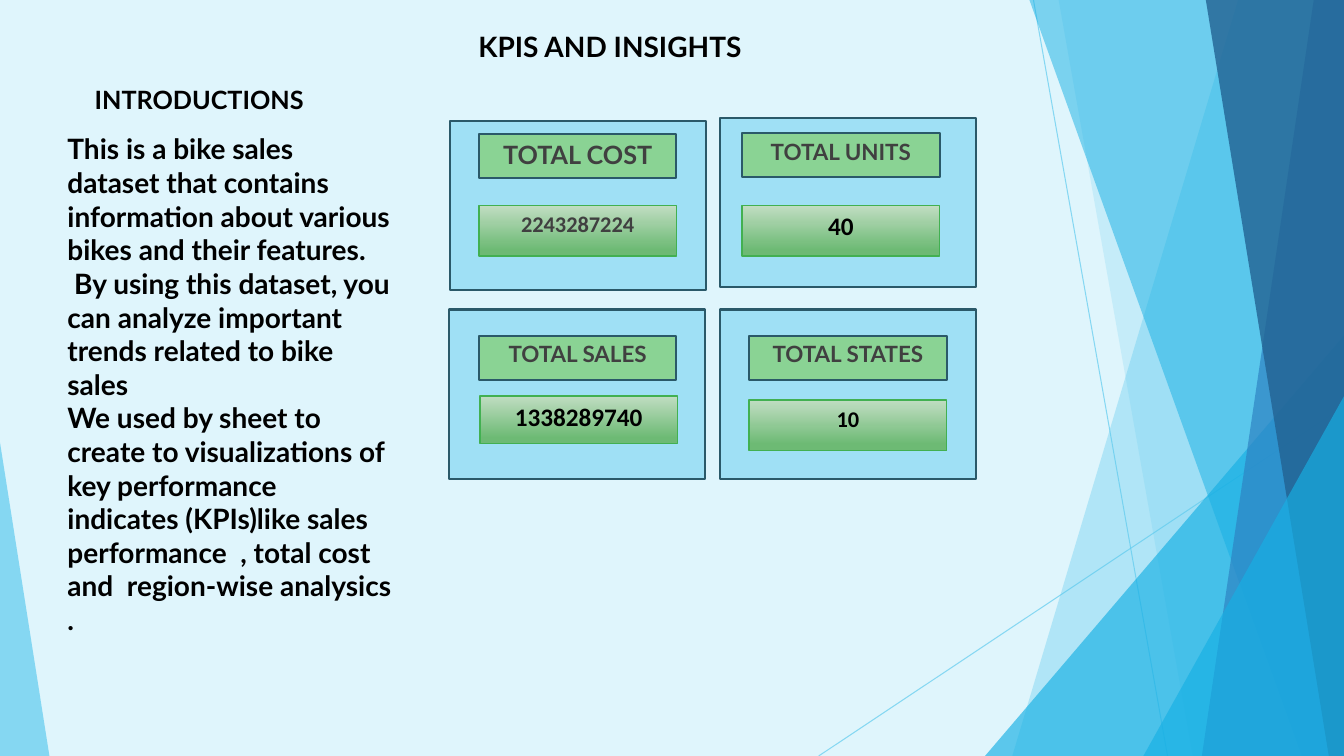
"""Build the bike sales slide with its introduction and four KPI cards."""
from pptx import Presentation
from pptx import util as u
from pptx.dml.color import RGBColor
from pptx.enum import shapes, text
from pptx.oxml import ns
from lxml import etree

HUES = {
    "back": "DFF5FC", "sky": "5FCBEF", "cyan": "17B0E4", "blue": "2E83C3",
    "navy": "226292", "card": "9FE0F5", "edge": "2A5969", "label": "8AD394",
    "pale": "C0DDC2", "green": "6DBA74", "rim": "42B051",
    "black": "000000", "grey": "404040",
}
RGB = {name: RGBColor.from_string(hue) for name, hue in HUES.items()}
WIDE, HIGH = 13.33, 7.5

deck = Presentation()
deck.slide_width, deck.slide_height = u.Inches(WIDE), u.Inches(HIGH)
slide = deck.slides.add_slide(deck.slide_layouts[6])
slide.background.fill.solid()
slide.background.fill.fore_color.rgb = RGB["back"]
tree = slide.shapes


def fade(shape, part):
    """Set the opacity, in percent, of each colour in a shape."""
    for hue in shape._element.iter(ns.qn("a:srgbClr")):
        etree.SubElement(hue, ns.qn("a:alpha")).set("val", str(part * 1000))


def write(shape, lines, size, face, hue, align):
    """Fill a shape with bold text, one paragraph a line."""
    frame = shape.text_frame
    frame.word_wrap = True
    frame.vertical_anchor = text.MSO_ANCHOR.TOP
    frame.text = "\n".join(lines)
    for para in frame.paragraphs:
        para.alignment = align
        font = para.runs[0].font
        form = {"size": u.Pt(size), "name": face, "bold": True}
        for key, value in form.items():
            setattr(font, key, value)
        font.color.rgb = RGB[hue]


for ends in [(10.25, 0, 11.58, HIGH), (WIDE, 4.03, 8.12, HIGH)]:
    ray = tree.add_connector(shapes.MSO_CONNECTOR.STRAIGHT, *map(u.Inches, ends))
    ray.line.color.rgb = RGB["sky"]
    ray.line.width = u.Pt(0.75)
    fade(ray, 70)
    etree.SubElement(ray._element.spPr, ns.qn("a:effectLst"))

facets = [
    ("band", (12.28, 10.04), "sky", 36),
    ("band", (10.5, 11.83), "sky", 20),
    ("wedge", (9.77, 3.33, 3.56, 1), "cyan", 66),
    ("band", (10.21, 12.91), "cyan", 50),
    ("band", (13.03, 11.92), "blue", 70),
    ("band", (11.96, 13.18), "navy", 80),
    ("wedge", (11.34, 3.93, 1.99, 1), "cyan", 66),
    ("wedge", (0, 4.39, 0.49, 0), "sky", 70),
]
for kind, place, hue, part in facets:
    if kind == "band":
        top, foot = place
        path = tree.build_freeform(u.Inches(top), 0)
        points = [(WIDE, 0), (WIDE, HIGH), (foot, HIGH)]
        path.add_line_segments([(u.Inches(x), u.Inches(y)) for x, y in points])
        facet = path.convert_to_shape()
    else:
        left, top, width, tip = place
        facet = tree.add_shape(shapes.MSO_SHAPE.ISOSCELES_TRIANGLE,
                               *map(u.Inches, (left, top, width, HIGH - top)))
        facet.adjustments[0] = tip
    facet.shadow.inherit = False
    facet.fill.solid()
    facet.fill.fore_color.rgb = RGB[hue]
    facet.line.fill.background()
    fade(facet, part)

cards = [
    ((4.46, 1.2), (4.75, 1.33), "TOTAL COST", 18,
     (4.75, 2.04, 0.5), "2243287224", 16, "grey"),
    ((7.14, 1.17), (7.36, 1.32), "TOTAL UNITS", 16,
     (7.36, 2.04, 0.5), "40", 18, "black"),
    ((4.45, 3.07), (4.75, 3.33), "TOTAL SALES", 16,
     (4.76, 3.93, 0.47), "1338289740", 18, "black"),
    ((7.14, 3.07), (7.43, 3.33), "TOTAL STATES", 16,
     (7.43, 3.97, 0.5), "10", 16, "black"),
]
for card, label, name, size, (left, top, high), value, points, ink in cards:
    boxes = [
        ((*card, 2.54, 1.68), "card", "edge", 1.5, None),
        ((*label, 1.96, 0.44), "label", "edge", 1.5, (name, size, "Lato", "grey")),
        ((left, top, 1.96, high), None, "rim", 1, (value, points, "Calibri", ink)),
    ]
    for place, hue, rim, weight, words in boxes:
        box = tree.add_shape(shapes.MSO_SHAPE.RECTANGLE, *map(u.Inches, place))
        box.shadow.inherit = False
        if hue:
            box.fill.solid()
            box.fill.fore_color.rgb = RGB[hue]
        else:
            box.fill.gradient()
            box.fill.gradient_angle = 270
            stops = zip(box.fill.gradient_stops, [("pale", 0), ("green", 0.88)])
            for stop, (shade, spot) in stops:
                stop.color.rgb = RGB[shade]
                stop.position = spot
        box.line.color.rgb = RGB[rim]
        box.line.width = u.Pt(weight)
        if words:
            line, *style = words
            write(box, [line], *style, text.PP_ALIGN.CENTER)

story = [
    "This is a bike sales dataset that contains information about various "
    "bikes and their features.",
    " By using this dataset, you can analyze important trends related to "
    "bike sales",
    "We used by sheet to create to visualizations of key performance "
    "indicates (KPIs)like sales performance  , total cost and  region-wise "
    "analysics .",
]
notes = [
    ((3.22, 0.24, 5.66, 0.44), ["KPIS AND INSIGHTS"], 20, text.PP_ALIGN.CENTER),
    ((0.57, 1.26, 3.42, 4.48), story, 20, text.PP_ALIGN.LEFT),
    ((0.84, 0.79, 2.68, 0.4), ["INTRODUCTIONS"], 18, text.PP_ALIGN.LEFT),
]
for place, lines, size, align in notes:
    note = tree.add_textbox(*map(u.Inches, place))
    write(note, lines, size, "Lato", "black", align)

deck.save("out.pptx")
